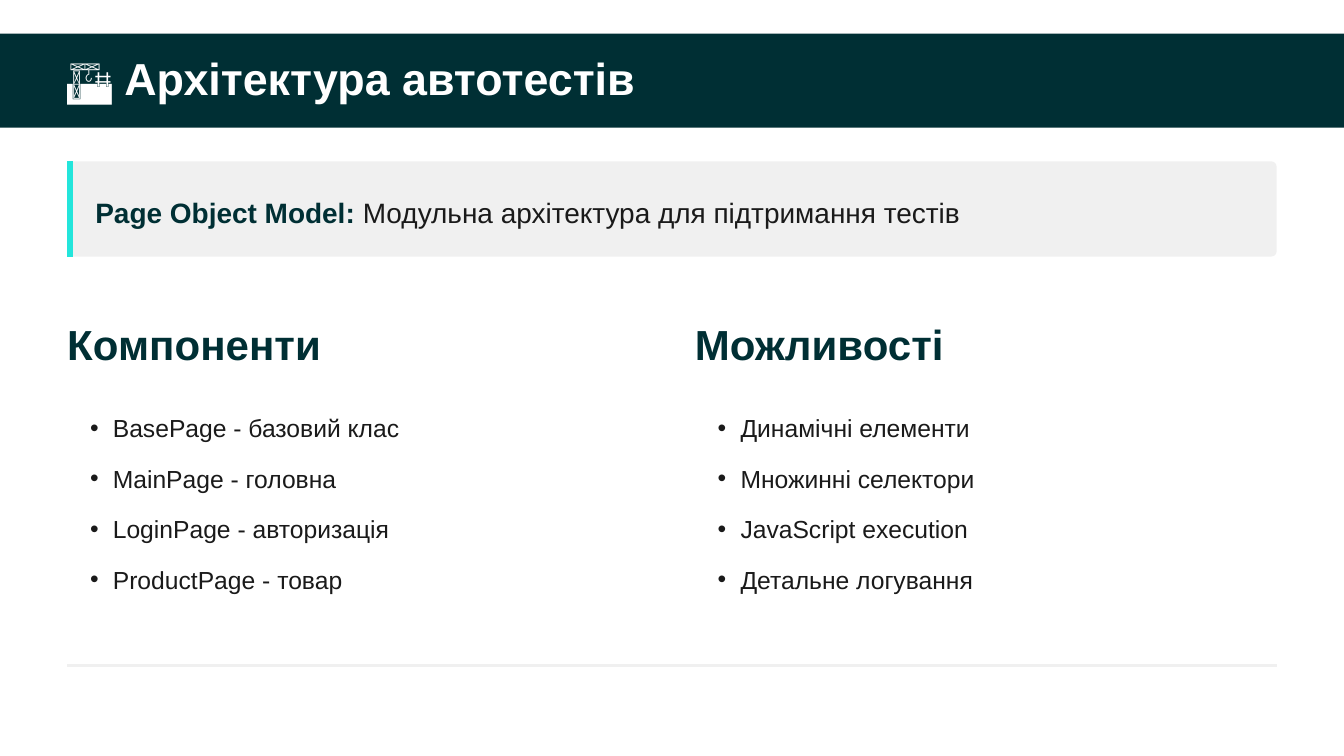
from lxml.etree import SubElement
from pptx import Presentation
from pptx.dml.color import RGBColor
from pptx.enum.shapes import MSO_CONNECTOR, MSO_SHAPE
from pptx.enum.text import MSO_ANCHOR, MSO_AUTO_SIZE, PP_ALIGN
from pptx.oxml.ns import qn
from pptx.util import Inches, Pt

TITLE = "🏗️ Архітектура автотестів"
CALLOUT = ("Page Object Model:", " Модульна архітектура для підтримання тестів")
COLUMNS = [
    ("Компоненти", ["BasePage - базовий клас", "MainPage - головна",
                    "LoginPage - авторизація", "ProductPage - товар"]),
    ("Можливості", ["Динамічні елементи", "Множинні селектори",
                    "JavaScript execution", "Детальне логування"]),
]

DARK, INK, PALE, ACCENT, WHITE = "002F34", "1A1A1A", "F0F0F0", "23E5DB", "FFFFFF"
SLIDE_WIDTH = 10
SLIDE_HEIGHT = SLIDE_WIDTH * 9 / 16
MARGIN, CONTENT_WIDTH, COLUMN_STEP = 0.5, 9, 4.67
BULLET_INDENT = 0.17

TITLE_FONT = {"size": Pt(24), "bold": True}
LEAD_FONT = {"size": Pt(15), "bold": True}
CALLOUT_FONT = {"size": Pt(15), "bold": False}
HEADING_FONT = {"size": Pt(22.5), "bold": True}
ITEM_FONT = {"size": Pt(13.2), "bold": False}


def color(hex_value):
    return RGBColor.from_string(hex_value)


def add_panel(slide, kind, box, fill):
    panel = slide.shapes.add_shape(kind, *map(Inches, box))
    panel.shadow.inherit = False
    panel.fill.solid()
    panel.fill.fore_color.rgb = color(fill)
    panel.line.fill.background()
    return panel


def add_rule(slide, ends, stroke, width):
    rule = slide.shapes.add_connector(MSO_CONNECTOR.STRAIGHT, *map(Inches, ends))
    rule.line.color.rgb = color(stroke)
    rule.line.width = Pt(width)
    SubElement(rule._element.spPr, qn("a:effectLst"))


def prepare_frame(holder, box, left_inset=0):
    holder.left, holder.top, holder.width, holder.height = map(Inches, box)
    frame = holder.text_frame
    settings = {"word_wrap": True, "auto_size": MSO_AUTO_SIZE.NONE,
                "vertical_anchor": MSO_ANCHOR.TOP, "margin_left": Inches(left_inset),
                "margin_top": 0, "margin_right": 0, "margin_bottom": 0}
    for key, value in settings.items():
        setattr(frame, key, value)
    return frame


def add_text(slide, box, left_inset=0):
    return prepare_frame(slide.shapes.add_textbox(0, 0, 0, 0), box, left_inset)


def write(paragraph, runs, line, after=0):
    spacing = {"alignment": PP_ALIGN.LEFT, "line_spacing": Pt(line),
               "space_before": Pt(0), "space_after": Pt(after)}
    for key, value in spacing.items():
        setattr(paragraph, key, value)
    for text, font, ink in runs:
        run = paragraph.add_run()
        run.text = text
        for key, value in {"name": "Arial", **font}.items():
            setattr(run.font, key, value)
        run.font.color.rgb = color(ink)


def add_bullet(paragraph):
    properties = paragraph._p.get_or_add_pPr()
    properties.set("marL", str(Inches(BULLET_INDENT)))
    properties.set("indent", str(-Inches(BULLET_INDENT)))
    SubElement(properties, qn("a:buFont"), typeface="Arial")
    SubElement(properties, qn("a:buChar"), char="•")


def add_column(slide, left, heading, items):
    write(add_text(slide, (left, 2.37, 4.42, 0.38)).paragraphs[0],
          [(heading, HEADING_FONT, DARK)], 27, 7.5)
    frame = add_text(slide, (left, 3.02, 4.33, 1.62), BULLET_INDENT)
    for index, item in enumerate(items):
        paragraph = frame.add_paragraph() if index else frame.paragraphs[0]
        add_bullet(paragraph)
        write(paragraph, [(item, ITEM_FONT, INK)], 19.8, 7.2)


def main():
    deck = Presentation()
    deck.slide_width, deck.slide_height = Inches(SLIDE_WIDTH), Inches(SLIDE_HEIGHT)
    slide = deck.slides.add_slide(deck.slide_layouts[5])
    slide.background.fill.solid()
    slide.background.fill.fore_color.rgb = color(WHITE)

    title = slide.shapes.title
    header = add_panel(slide, MSO_SHAPE.RECTANGLE, (0, 0.25, SLIDE_WIDTH, 0.7), DARK)
    title._element.addprevious(header._element)
    write(prepare_frame(title, (MARGIN, 0.41, 4.6, 0.37)).paragraphs[0],
          [(TITLE, TITLE_FONT, WHITE)], 26.7)

    callout = add_panel(slide, MSO_SHAPE.ROUNDED_RECTANGLE,
                        (MARGIN, 1.2, CONTENT_WIDTH, 0.71), PALE)
    callout.adjustments[0] = 0.06
    add_rule(slide, (0.52, 1.2, 0.52, 1.91), ACCENT, 3)
    lead, summary = CALLOUT
    write(add_text(slide, (0.71, 1.41, 8.8, 0.29)).paragraphs[0],
          [(lead, LEAD_FONT, DARK), (summary, CALLOUT_FONT, INK)], 21, 3)

    for index, (heading, items) in enumerate(COLUMNS):
        add_column(slide, MARGIN + index * COLUMN_STEP, heading, items)

    add_rule(slide, (MARGIN, 4.95, MARGIN + CONTENT_WIDTH, 4.95), PALE, 1.5)
    deck.save("out.pptx")


if __name__ == "__main__":
    main()
